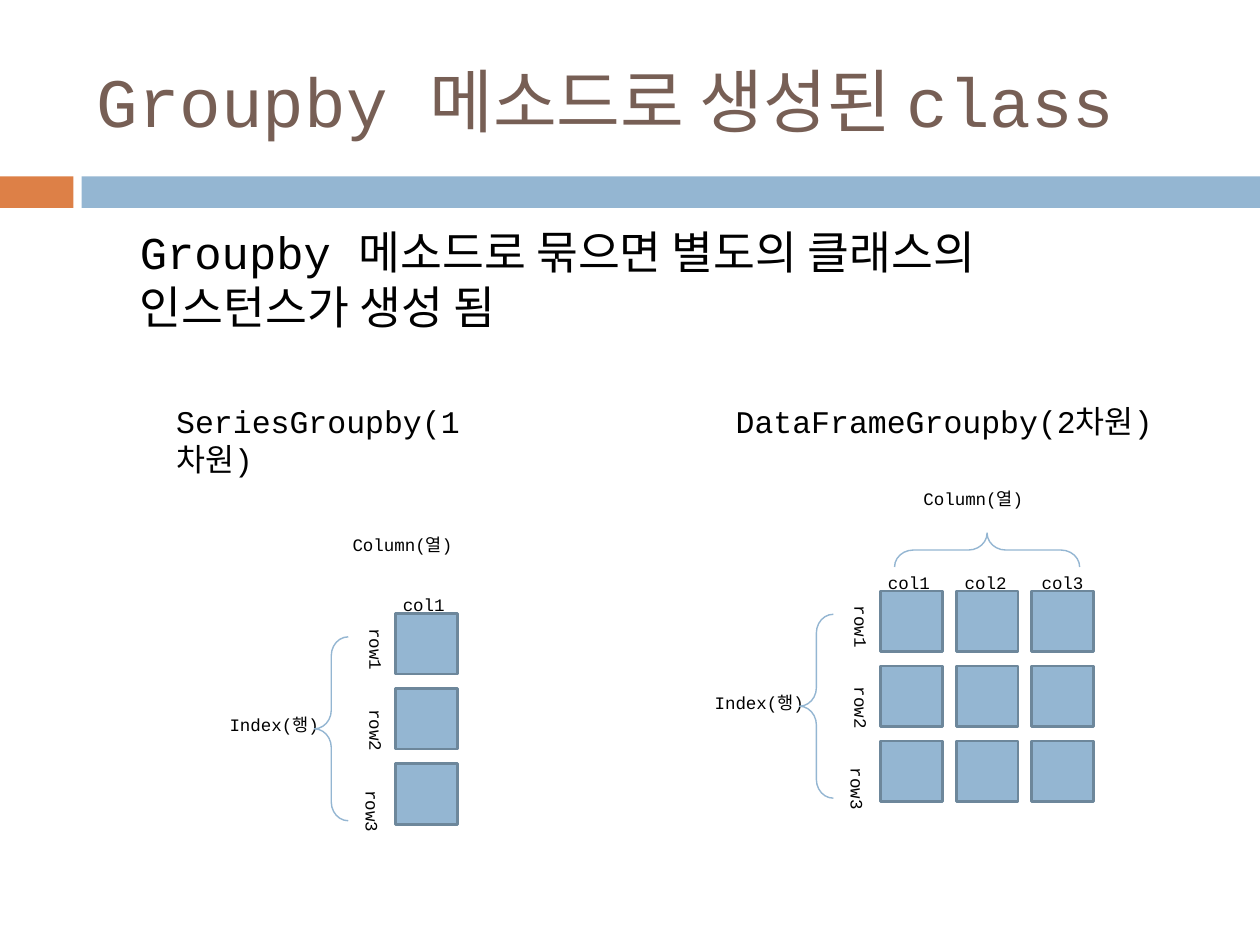
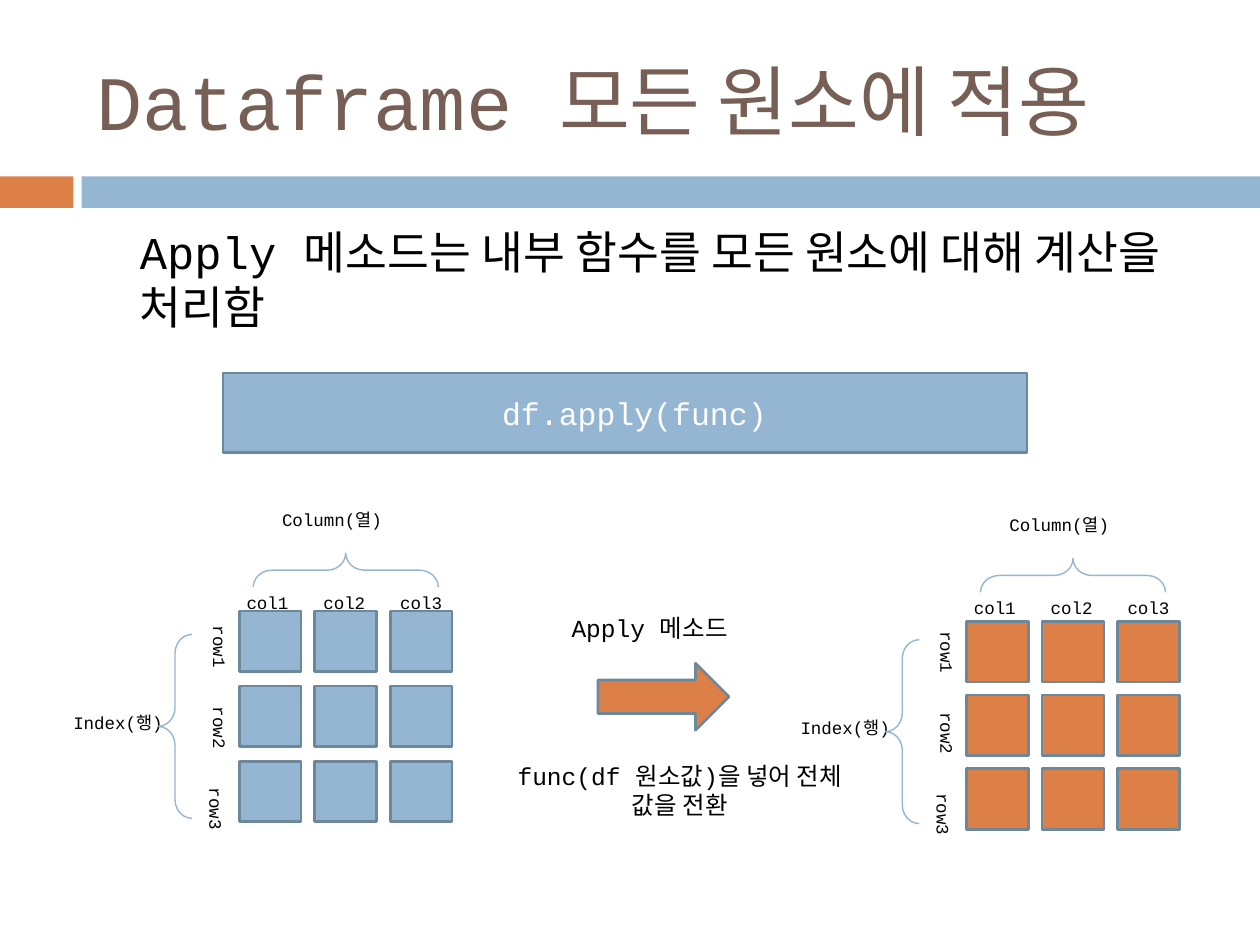
import pptx
import pptx.dml.color
import pptx.enum.shapes
import pptx.enum.text
import pptx.oxml
import pptx.oxml.ns
import pptx.util

Pt = pptx.util.Pt
SHAPE = pptx.enum.shapes.MSO_SHAPE
ALIGN = pptx.enum.text.PP_ALIGN
ANCHOR = pptx.enum.text.MSO_ANCHOR
AUTO_SIZE = pptx.enum.text.MSO_AUTO_SIZE

FONT = "Courier New"
COLORS = {
    "title": "775F55",
    "text": "000000",
    "white": "FFFFFF",
    "blue": "94B6D2",
    "orange": "DD8047",
    "outline": "6D879B",
}


def color(name):
    return pptx.dml.color.RGBColor.from_string(COLORS[name])


def write_text(text_frame, text, size=10, fill="text", align=ALIGN.LEFT,
               anchor=ANCHOR.TOP, auto_size=AUTO_SIZE.NONE, wrap=True):
    text_frame.word_wrap = wrap
    text_frame.auto_size = auto_size
    text_frame.vertical_anchor = anchor
    paragraph = text_frame.paragraphs[0]
    paragraph.alignment = align
    paragraph.space_before = Pt(0)
    run = paragraph.add_run()
    run.text = text
    run.font.name = FONT
    run.font.size = Pt(size)
    run.font.color.rgb = color(fill)
    return paragraph


def place(shape, left, top, width, height):
    shape.left, shape.top = Pt(left), Pt(top)
    shape.width, shape.height = Pt(width), Pt(height)


class Deck:
    def __init__(self):
        self.presentation = pptx.Presentation()
        self.presentation.slide_width = Pt(720)
        self.presentation.slide_height = Pt(540)
        self.slide = None
        self.shapes = None  # the slide's shapes, or those of an open group

    def add_slide(self, title, body, title_size):
        layout = self.presentation.slide_layouts[1]
        self.slide = self.presentation.slides.add_slide(layout)
        self.shapes = self.slide.shapes
        # Bands under the title
        self.add_shape(SHAPE.RECTANGLE, 0, 100.8, 42, 18, fill="orange", line=None)
        self.add_shape(SHAPE.RECTANGLE, 46.6, 100.8, 673.4, 18, line=None)
        # Title and lead sentence
        title_shape, body_shape = self.slide.placeholders
        place(title_shape, 48, 18, 642, 78)
        write_text(title_shape.text_frame, title, size=title_size,
                   fill="title", anchor=ANCHOR.MIDDLE)
        place(body_shape, 36.7, 124.6, 648, 72)
        paragraph = write_text(body_shape.text_frame, body, size=26)
        paragraph.level = 1
        properties = paragraph._p.get_or_add_pPr()
        properties.set("marL", str(Pt(36)))
        properties.set("indent", "0")
        properties.append(pptx.oxml.parse_xml(
            "<a:buNone %s/>" % pptx.oxml.ns.nsdecls("a")))

    def add_shape(self, kind, left, top, width, height, fill="blue",
                  line="outline", line_width=1.5, rotation=0):
        shape = self.shapes.add_shape(
            kind, Pt(left), Pt(top), Pt(width), Pt(height))
        shape.shadow.inherit = False
        shape.rotation = rotation
        if fill:
            shape.fill.solid()
            shape.fill.fore_color.rgb = color(fill)
        else:
            shape.fill.background()
        if line:
            shape.line.color.rgb = color(line)
            shape.line.width = Pt(line_width)
        else:
            shape.line.fill.background()
        return shape

    def add_brace(self, left, top, height, rotation):
        brace = self.add_shape(SHAPE.RIGHT_BRACE, left, top, 19.4, height, fill=None,
                               line="blue", line_width=0.79, rotation=rotation)
        brace.adjustments[0] = 0.55

    def add_label(self, text, left, top, width, height=19.4, vertical=False, **style):
        box = self.shapes.add_textbox(Pt(left), Pt(top), Pt(width), Pt(height))
        if vertical:
            box.text_frame._txBody.bodyPr.set("vert", "eaVert")
        write_text(box.text_frame, text, auto_size=AUTO_SIZE.SHAPE_TO_FIT_TEXT,
                   wrap=not vertical, **style)

    def add_grid(self, left, top, columns=3, fill="blue", row_step=42.9,
                 cell_drop=0, column_label=(17.3, -62.1)):
        """Draw a labelled grid of three rows, measured from its first cell."""
        self.shapes = self.slide.shapes.add_group_shape().shapes
        # Cells
        for row in range(3):
            for column in range(columns):
                self.add_shape(SHAPE.RECTANGLE, left + 43.1 * column,
                               top + cell_drop + row_step * row, 35.3, 34.6, fill=fill)
        # Axis names and braces
        self.add_label("Index(행)", left - 113, top + 54, 87.1, align=ALIGN.CENTER)
        self.add_label("Column(열)", left + column_label[0],
                       top + column_label[1], 103.7)
        self.add_brace(left - 46.5, top + 13.3, 105.1, rotation=180)
        if columns > 1:
            self.add_brace(left + 51.1, top - 76.3, 105.8, rotation=270)
        # Column and row names
        for column in range(columns):
            self.add_label(f"col{column + 1}", left - 3.4 + 43.9 * column,
                           top - 14.4, 38.9, align=ALIGN.CENTER)
        for row, inset in enumerate((28.1, 28.1, 30.2)):
            self.add_label(f"row{row + 1}", left - inset, top + 1.4 + 46.3 * row,
                           26.6, 31.7, vertical=True)
        self.shapes = self.slide.shapes


def add_groupby_slide(deck):
    deck.add_slide("Groupby 메소드로 생성된 class",
                   "Groupby 메소드로 묶으면 별도의 클래스의 인스턴스가 생성 됨", 39.6)
    deck.add_grid(503.3, 337.7)
    deck.add_grid(226.1, 350.6, columns=1, column_label=(-31.7, -49))
    deck.add_label("SeriesGroupby(1차원)", 93.6, 226.1, 201.6, 29, size=18)
    deck.add_label("DataFrameGroupby(2차원)", 413.3, 226.1, 264.2, 29, size=18)


def add_apply_slide(deck):
    deck.add_slide("Dataframe 모든 원소에 적용",
                   "Apply 메소드는 내부 함수를 모든 원소에 대해 계산을 처리함", 44)
    deck.add_grid(136.8, 349.2)
    # Call being explained
    call = deck.add_shape(SHAPE.RECTANGLE, 127.4, 213.1, 459.4, 45.4)
    write_text(call.text_frame, " df.apply(func)", size=18, fill="white",
               align=ALIGN.CENTER, anchor=ANCHOR.MIDDLE)
    # Step from input to result
    deck.add_label("Apply 메소드", 297.4, 347, 147.6, 24.5,
                   size=14, align=ALIGN.CENTER)
    deck.add_label("func(df 원소값)을 넣어 전체 값을 전환", 286.6, 431.3, 203.8, 41,
                   size=14, align=ALIGN.CENTER)
    deck.add_shape(SHAPE.DOWN_ARROW, 360, 360.7, 38.2, 74.9,
                   fill="orange", rotation=270)
    deck.add_grid(552.4, 352.2, fill="orange", row_step=42.1, cell_drop=2.9)


def main():
    deck = Deck()
    add_groupby_slide(deck)
    add_apply_slide(deck)
    deck.presentation.save("out.pptx")


if __name__ == "__main__":
    main()
